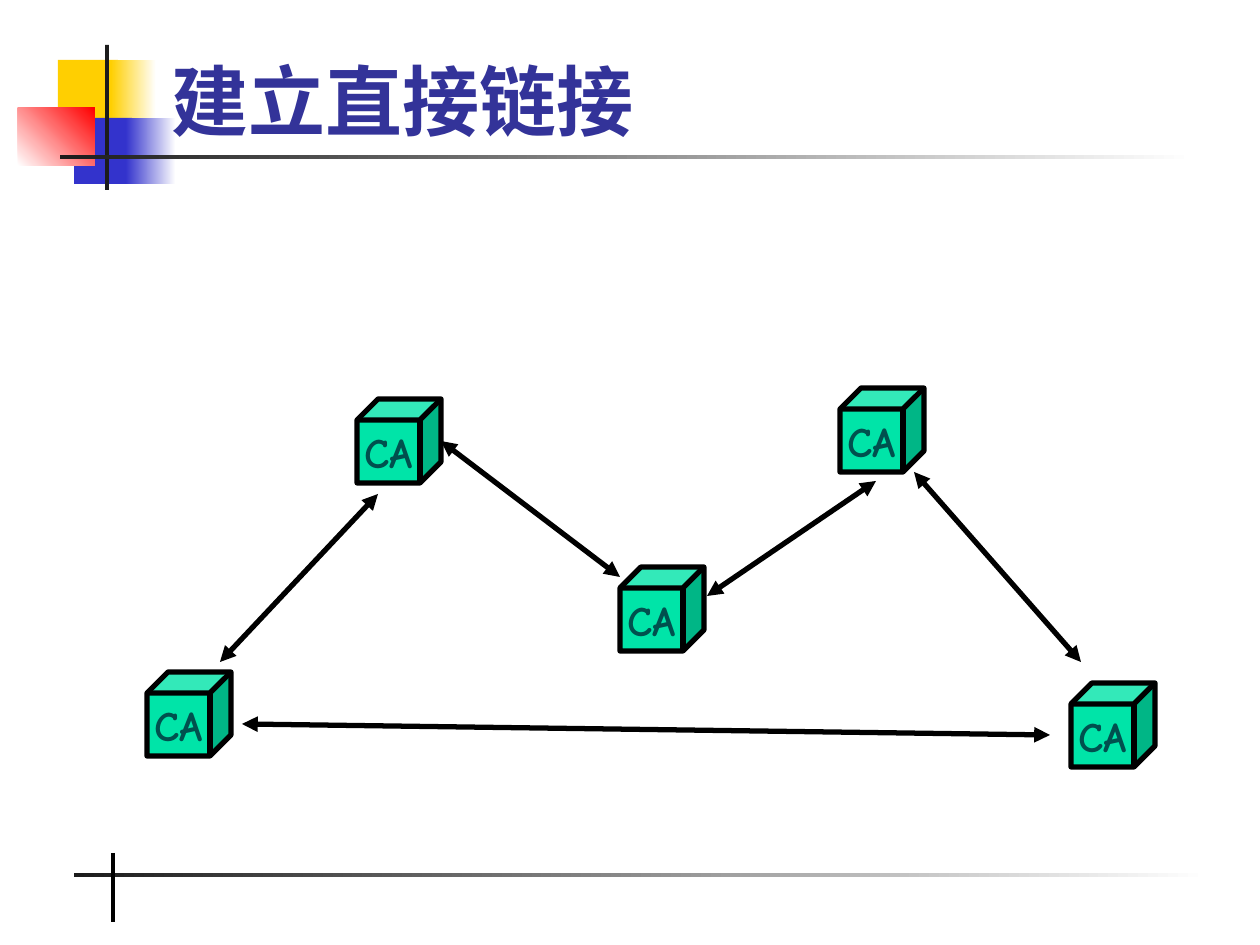
from lxml import etree
from pptx import Presentation
from pptx import util as u
from pptx.dml.color import RGBColor
from pptx.enum import shapes, text
from pptx.oxml.ns import qn

PX = 914400 / 126
COLORS = {"yellow": "FFCF01", "blue": "3333CC", "red": "FF0000", "white": "FFFFFF",
          "dark": "1C1C1C", "black": "000000", "title": "333399",
          "cube": "00E4A8", "label": "00504E"}

TITLE = "建立直接链接"
LABEL = "CA"
BARS = [
    ((58, 60, 60, 66), ["yellow"], 0),
    ((111, 60, 45, 66), ["yellow", "white"], 0),
    ((74, 118, 58, 66), ["blue"], 0),
    ((126, 118, 50, 66), ["blue", "white"], 0),
    ((18, 108, 77, 58), ["white", "red"], 45),
    ((105, 45, 4, 145), ["dark"], 0),
    ((60, 155, 1134, 4), ["dark", "white"], 0),
    ((74, 873, 1134, 4), ["dark", "white"], 0),
]
FOOTER_TICK = (113, 853, 113, 922)
CUBE_SIZE = 84
CUBES = [(147, 672), (357, 399), (620, 567), (840, 388), (1071, 683)]
LINKS = [
    (220, 662, 378, 494),
    (441, 441, 620, 577),
    (707, 596, 876, 481),
    (914, 472, 1081, 662),
    (242, 724, 1050, 735),
]


def emu(*lengths):
    return [u.Emu(round(n * PX)) for n in lengths]


def rgb(name):
    return RGBColor.from_string(COLORS[name])


def write(tf, content, *, font, size, color, align, anchor):
    tf.auto_size = text.MSO_AUTO_SIZE.NONE
    tf.vertical_anchor = anchor
    p = tf.paragraphs[0]
    p.alignment = align
    r = p.add_run()
    r.text = content
    r.font.name, r.font.size, r.font.bold = font, u.Pt(size), True
    r.font.color.rgb = rgb(color)
    return p


def add_bar(s, box, colors, angle):
    sp = s.shapes.add_shape(shapes.MSO_SHAPE.RECTANGLE, *emu(*box))
    sp.shadow.inherit = False
    sp.line.fill.background()
    if len(colors) == 1:
        sp.fill.solid()
        sp.fill.fore_color.rgb = rgb(colors[0])
        return
    sp.fill.gradient()
    sp.fill.gradient_angle = angle
    for stop, color in zip(sp.fill.gradient_stops, colors):
        stop.color.rgb = rgb(color)


def add_cube(s, x, y):
    sp = s.shapes.add_shape(shapes.MSO_SHAPE.CUBE, *emu(x, y, CUBE_SIZE, CUBE_SIZE))
    sp.shadow.inherit = False
    sp.adjustments[0] = 0.25
    sp.fill.solid()
    sp.fill.fore_color.rgb = rgb("cube")
    sp.line.color.rgb = rgb("black")
    sp.line.width = u.Pt(3)
    tf = sp.text_frame
    tf.margin_left = tf.margin_right = tf.margin_top = tf.margin_bottom = 0
    tf.word_wrap = False
    p = write(tf, LABEL, font="Comic Neue", size=24, color="label",
              align=text.PP_ALIGN.CENTER, anchor=text.MSO_ANCHOR.MIDDLE)
    before = etree.SubElement(p._p.get_or_add_pPr(), qn("a:spcBef"))
    etree.SubElement(before, qn("a:spcPct"), val="50000")


def add_line(s, ends, width, arrows=False):
    line = s.shapes.add_connector(shapes.MSO_CONNECTOR.STRAIGHT, *emu(*ends))
    line.line.color.rgb = rgb("black")
    line.line.width = u.Pt(width)
    if arrows:
        ln = line.line._get_or_add_ln()
        for end in ("a:headEnd", "a:tailEnd"):
            etree.SubElement(ln, qn(end), type="triangle")
    etree.SubElement(line._element.spPr, qn("a:effectLst"))


def main():
    prs = Presentation()
    prs.slide_width, prs.slide_height = emu(1260, 945)
    s = prs.slides.add_slide(prs.slide_layouts[5])

    for bar in BARS:
        add_bar(s, *bar)
    add_line(s, FOOTER_TICK, 2.25)

    title = s.shapes.title
    title.left, title.top, title.width, title.height = emu(159, 20, 1074, 132)
    write(title.text_frame, TITLE, font="Times New Roman", size=44, color="title",
          align=text.PP_ALIGN.LEFT, anchor=text.MSO_ANCHOR.BOTTOM)
    s.shapes._spTree.append(title._element)

    for x, y in CUBES:
        add_cube(s, x, y)
    for ends in LINKS:
        add_line(s, ends, 3, arrows=True)

    prs.save("out.pptx")


if __name__ == "__main__":
    main()
